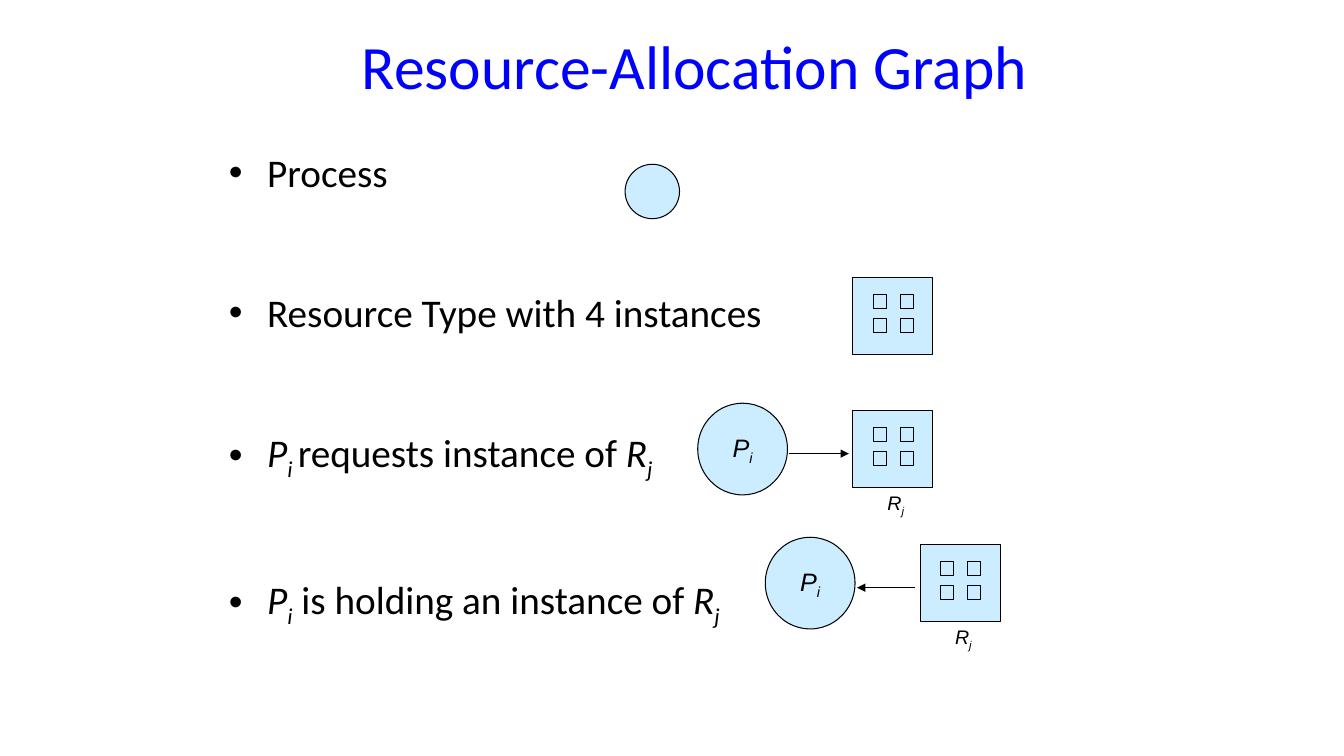
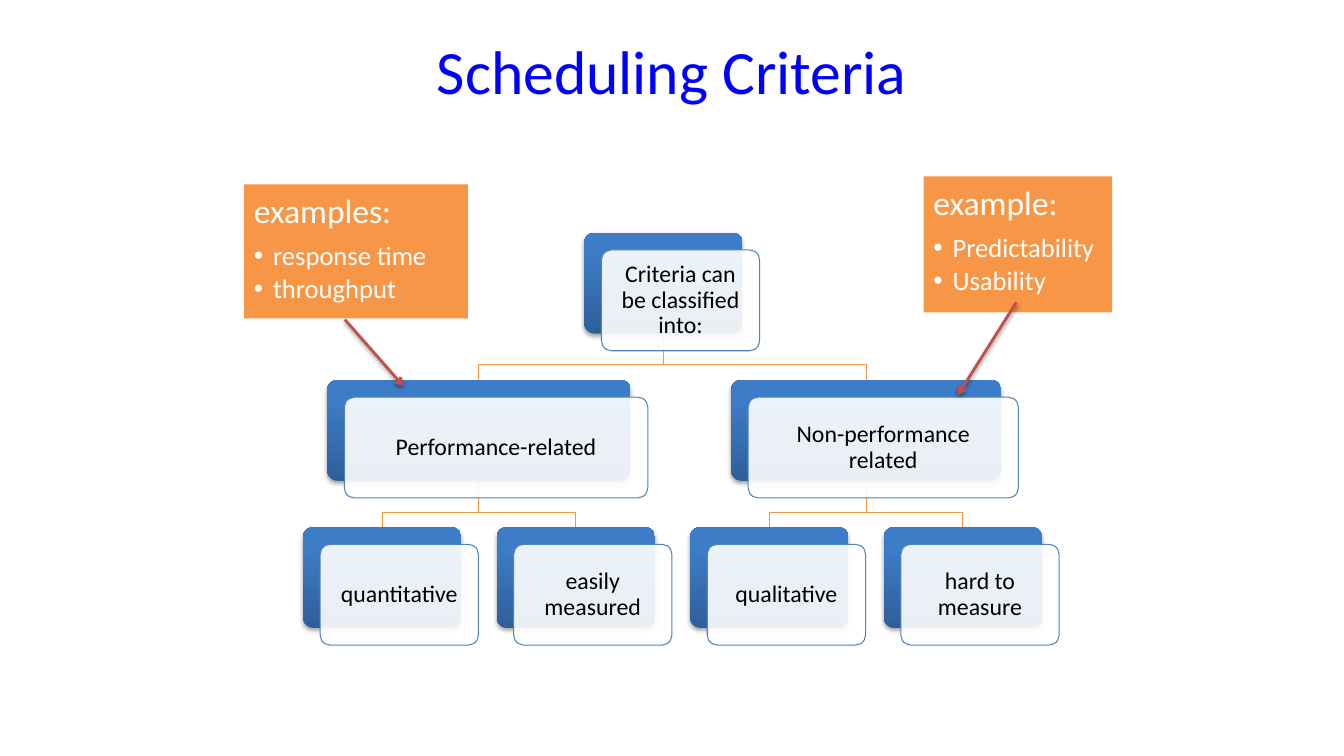
from lxml import etree
from pptx import Presentation
from pptx.dml.color import RGBColor
from pptx.enum import shapes, text
from pptx.oxml import ns
from pptx.util import Inches, Pt

COLORS = {
    "title": "0000FF", "black": "000000", "white": "FFFFFF", "node": "CCECFF",
    "orange": "F79646", "blue": "4F81BD", "red": "C0504D",
    "card_dark": "2F5F99", "card_light": "3D7CC7",
}
HEAD, BODY = "Calibri", "Arial"
PLAIN, ITALIC, SUB = "plain", "italic", "sub"
P_I = [("P", ITALIC), ("i", SUB)]
R_J = [("R", ITALIC), ("j", SUB)]


def rgb(name):
    return RGBColor.from_string(COLORS[name])


def add_xml(parent, tag, **attrs):
    return etree.SubElement(parent, ns.qn(tag), attrs)


# Text
def add_runs(p, runs, size, color="black", font=HEAD):
    for words, style in runs:
        r = p.add_run()
        r.text = words
        r.font.name, r.font.size = font, Pt(size)
        r.font.color.rgb = rgb(color)
        r.font.italic = style != PLAIN
        if style == SUB:
            r._r.get_or_add_rPr().set("baseline", "-25000")


def add_bullet(p, indent):
    pPr = p._p.get_or_add_pPr()
    pPr.set("marL", str(Inches(indent)))
    pPr.set("indent", str(-Inches(indent)))
    add_xml(pPr, "a:buFont", typeface="Arial")
    add_xml(pPr, "a:buChar", char="•")


def paragraphs(tf):
    """Yield the paragraph that is there, then new ones."""
    yield tf.paragraphs[0]
    while True:
        yield tf.add_paragraph()


def set_margins(tf, inset):
    tf.margin_left = tf.margin_right = Inches(inset)
    tf.margin_top = tf.margin_bottom = Inches(inset)


def place(sp, x, y, w, h):
    sp.left, sp.top, sp.width, sp.height = map(Inches, (x, y, w, h))


def add_title(s, words, *box):
    sp = s.shapes.title
    place(sp, *box)
    tf = sp.text_frame
    tf.auto_size = text.MSO_AUTO_SIZE.NONE
    tf.vertical_anchor = text.MSO_ANCHOR.MIDDLE
    p = tf.paragraphs[0]
    p.alignment = text.PP_ALIGN.CENTER
    add_runs(p, [(words, PLAIN)], 44, "title")


def add_centered(tf, runs, size, font=HEAD):
    tf.vertical_anchor = text.MSO_ANCHOR.MIDDLE
    p = tf.paragraphs[0]
    p.alignment = text.PP_ALIGN.CENTER
    add_runs(p, runs, size, font=font)
    return p


# Shapes and lines
def add_shadow(sp, alpha):
    effects = add_xml(sp._element.spPr, "a:effectLst")
    shadow = add_xml(effects, "a:outerShdw", blurRad=str(Pt(3.1)), dist=str(Pt(1.8)),
                     dir="5400000", rotWithShape="0")
    color = add_xml(shadow, "a:srgbClr", val=COLORS["black"])
    add_xml(color, "a:alpha", val=str(alpha * 1000))


def add_box(s, kind, x, y, w, h, fill=None, line=None):
    sp = s.shapes.add_shape(kind, *map(Inches, (x, y, w, h)))
    if fill:
        sp.shadow.inherit = False
        sp.fill.solid()
        sp.fill.fore_color.rgb = rgb(fill)
    if line:
        sp.line.color.rgb = rgb(line)
        sp.line.width = Pt(0.75)
    else:
        sp.line.fill.background()
    return sp


def add_arrow(s, start, end, color, width, head, shadow=0):
    points = map(Inches, (*start, *end))
    sp = s.shapes.add_connector(shapes.MSO_CONNECTOR.STRAIGHT, *points)
    sp.line.color.rgb = rgb(color)
    sp.line.width = Pt(width)
    add_xml(sp.line._get_or_add_ln(), "a:tailEnd", type=head)
    if shadow:
        add_shadow(sp, shadow)
    else:
        add_xml(sp._element.spPr, "a:effectLst")


# Resource-allocation graph
def add_process(s, x, y, w, h):
    return add_box(s, shapes.MSO_SHAPE.OVAL, x, y, w, h, "node", "black")


def add_resource(s, x, y):
    square = shapes.MSO_SHAPE.RECTANGLE
    add_box(s, square, x, y, 0.79, 0.77, "node", "black")
    for row in range(2):
        for col in range(2):
            add_box(s, square, x + 0.2 + 0.27 * col, y + 0.17 + 0.24 * row,
                    0.13, 0.14, "node", "black")


def add_edge(s, x, y, request):
    """Process and resource joined by a request or an assignment arrow."""
    sp = add_process(s, x - 1.54, y - 0.07, 0.89, 0.91)
    sp.text_frame.word_wrap = False
    add_centered(sp.text_frame, P_I, 18, BODY)
    add_resource(s, x, y)
    if request:
        ends = (x - 0.63, y + 0.43), (x - 0.04, y + 0.43)
    else:
        ends = (x - 0.05, y + 0.43), (x - 0.63, y + 0.43)
    add_arrow(s, *ends, "black", 0.75, "triangle")
    label = s.shapes.add_textbox(*map(Inches, (x + 0.12, y + 0.76, 0.61, 0.34)))
    label.text_frame.word_wrap = True
    add_centered(label.text_frame, R_J, 14, BODY)


def add_graph_slide(prs):
    s = prs.slides.add_slide(prs.slide_layouts[1])
    add_title(s, "Resource-Allocation Graph", 2.17, 0.33, 9.44, 0.63)
    body = s.placeholders[1]
    place(body, 2.17, 1.42, 8.03, 4.95)
    tf = body.text_frame
    tf.auto_size = text.MSO_AUTO_SIZE.NONE
    items = [
        [("Process", PLAIN)],
        [("Resource Type with 4 instances", PLAIN)],
        [("P", ITALIC), ("i ", SUB), ("requests instance of ", PLAIN), *R_J],
        [*P_I, (" is holding an instance of ", PLAIN), *R_J],
    ]
    for i, (runs, p) in enumerate(zip(items, paragraphs(tf))):
        add_bullet(p, 0.38)
        p.space_before = Pt(66.5 if i else 0)
        add_runs(p, runs, 28)
    add_process(s, 6.2, 1.63, 0.54, 0.54)
    add_resource(s, 8.46, 2.75)
    add_edge(s, 8.46, 4.07, True)
    add_edge(s, 9.13, 5.4, False)


# Criteria tree
CARD_H, STEP, TREE_TOP = 1, 1.46, 2.31


def level_top(level):
    return TREE_TOP + STEP * level


def add_branch(s, level, parent_x, child_x):
    start, end = level_top(level) + CARD_H, level_top(level + 1)
    fb = s.shapes.build_freeform(Inches(parent_x), Inches(start))
    bend = end - 0.15
    points = [(parent_x, bend), (child_x, bend), (child_x, end)]
    fb.add_line_segments([(Inches(x), Inches(y)) for x, y in points], close=False)
    sp = fb.convert_to_shape()
    sp.shadow.inherit = False
    sp.fill.background()
    sp.line.color.rgb = rgb("orange")
    sp.line.width = Pt(0.75)


def add_card(s, level, center, width, words):
    """Gradient card with a translucent label card in front."""
    x, y = center - width / 2, level_top(level)
    rounded = shapes.MSO_SHAPE.ROUNDED_RECTANGLE
    back = add_box(s, rounded, x, y, width, CARD_H)
    back.fill.gradient()
    back.fill.gradient_angle = 90
    stops = zip(back.fill.gradient_stops, (0, 0.8), ("card_dark", "card_light"))
    for stop, position, color in stops:
        stop.position = position
        stop.color.rgb = rgb(color)
    add_shadow(back, 35)
    front = add_box(s, rounded, x + 0.17, y + 0.17, width, CARD_H, "white", "blue")
    color = front._element.spPr.find(ns.qn("a:solidFill"))[0]
    add_xml(color, "a:alpha", val="90000")
    for sp in (back, front):
        sp.adjustments[0] = 0.1
    tf = front.text_frame
    tf.word_wrap = True
    set_margins(tf, 0.09)
    add_centered(tf, [(words, PLAIN)], 17).line_spacing = 0.9


def add_callout(s, box, heading, items, start, end):
    sp = add_box(s, shapes.MSO_SHAPE.RECTANGLE, *box, "orange")
    tf = sp.text_frame
    tf.word_wrap = True
    tf.vertical_anchor = text.MSO_ANCHOR.TOP
    set_margins(tf, 0.1)
    for i, (words, p) in enumerate(zip([heading, *items], paragraphs(tf))):
        if i:
            add_bullet(p, 0.19)
        p.alignment = text.PP_ALIGN.LEFT
        p.line_spacing = 0.9
        p.space_after = Pt(2.85 if i else 8.4)
        add_runs(p, [(words, PLAIN)], 19 if i else 24, "white")
    add_arrow(s, start, end, "red", 2, "arrow", shadow=38)


def add_criteria_slide(prs):
    s = prs.slides.add_slide(prs.slide_layouts[5])
    add_title(s, "Scheduling Criteria", 1.83, 0.23, 9.67, 0.93)
    root_x, card_w = 6.58, 1.57
    leaf_x = [3.79 + 1.92 * i for i in range(4)]
    groups = [
        ("Performance-related", 3.01, ["quantitative", "easily measured"]),
        ("Non-performance related", 2.68, ["qualitative", "hard to measure"]),
    ]
    cards = [(0, root_x, card_w, "Criteria can be classified into:")]
    for i, (words, width, leaves) in enumerate(groups):
        children = leaf_x[2 * i:2 * i + 2]
        center = sum(children) / 2
        add_branch(s, 0, root_x, center)
        cards.append((1, center, width, words))
        for x, leaf in zip(children, leaves):
            add_branch(s, 1, center, x)
            cards.append((2, x, card_w, leaf))
    for card in cards:
        add_card(s, *card)
    add_callout(s, (2.42, 1.83, 2.22, 1.33), "examples:",
                ["response time", "throughput"], (3.42, 3.17), (4, 3.83))
    add_callout(s, (9.16, 1.75, 1.87, 1.35), "example:",
                ["Predictability", "Usability"], (10.08, 3), (9.5, 3.92))


def main():
    prs = Presentation()
    prs.slide_width, prs.slide_height = Inches(13.33), Inches(7.5)
    add_graph_slide(prs)
    add_criteria_slide(prs)
    prs.save("out.pptx")


if __name__ == "__main__":
    main()
